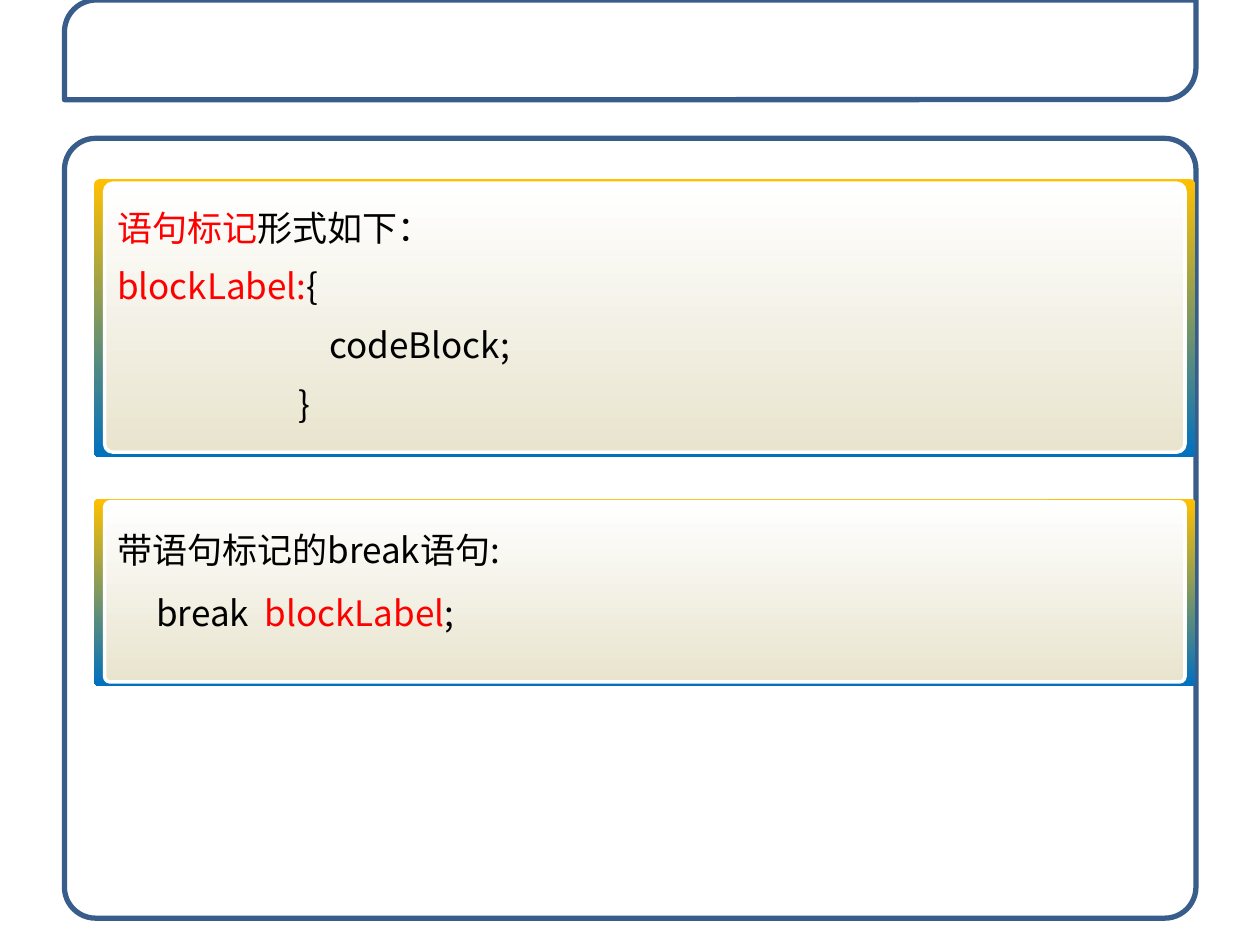
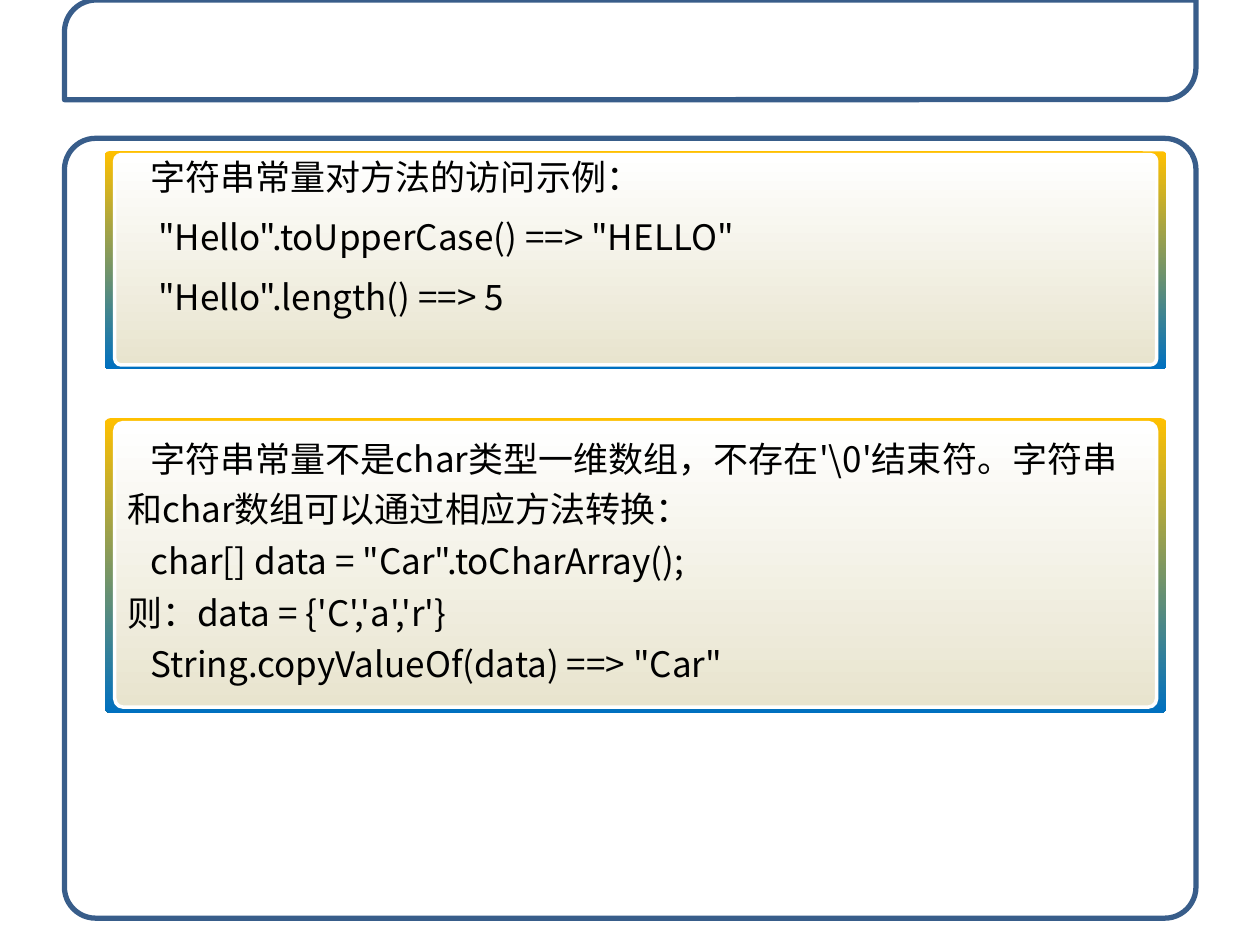
"""Builds two slides on labelled break statements and string constants."""
from lxml import etree
from pptx import Presentation
from pptx.dml.color import RGBColor
from pptx.enum.shapes import MSO_SHAPE
from pptx.enum.text import MSO_ANCHOR, MSO_AUTO_SIZE
from pptx.oxml.ns import qn
from pptx.util import Cm, Pt

ROUNDED = MSO_SHAPE.ROUNDED_RECTANGLE
DIAGONAL = MSO_SHAPE.ROUND_2_DIAG_RECTANGLE
TOP = MSO_ANCHOR.TOP
GROW = MSO_AUTO_SIZE.SHAPE_TO_FIT_TEXT

FONT = "Noto Sans CJK SC"
BLACK, RED, WHITE, BLUE = "000000", "FF0000", "FFFFFF", "385D8A"
RIM = ("FFC000", "0070C0")
FACE = ("FFFFFF", "E8E4CE")

FRAMES = [
    (ROUNDED, 2.79, 15.72, [0.04]),
    (DIAGONAL, 0, 2.01, [0.32, 0]),
]

# Each card: top, height, text height, paragraphs.
# Each paragraph: first-line indent, line spacing, space before, runs.
SLIDES = [
    (1.9, 22.2, [
        (10.06, 3.76, 2.79, [
            (0, 1.5, 0, [("带语句标记的break语句:", BLACK)]),
            (0.79, 1.5, 0, [("break  ", BLACK), ("blockLabel", RED), (";", BLACK)]),
        ]),
        (3.61, 5.61, 5, [
            (0, 1.4, 0, [("语句标记", RED), ("形式如下：", BLACK)]),
            (0, 1.4, 0, [("blockLabel:", RED), ("{", BLACK)]),
            (4.28, 1.4, 0, [("codeBlock;", BLACK)]),
            (3.65, 1.4, 0, [("}", BLACK)]),
        ]),
    ]),
    (2.11, 21.41, [
        (3.05, 4.39, 3.43, [
            (0.47, 0.9, 12.5, [("字符串常量对方法的访问示例：", BLACK)]),
            (0.63, 0.9, 12.5, [('"Hello".toUpperCase() ==> "HELLO"', BLACK)]),
            (0.63, 0.9, 12.5, [('"Hello".length() ==> 5', BLACK)]),
        ]),
        (8.43, 5.94, 5.38, [
            (0.47, 1.2, 12.5, [(r"字符串常量不是char类型一维数组，不存在'\0'结束符。"
                                "字符串和char数组可以通过相应方法转换：", BLACK)]),
            (0.47, 0.7, 12.5, [('char[] data = "Car".toCharArray();', BLACK)]),
            (0, 0.7, 12.5, [("则：data = {'C','a','r'}", BLACK)]),
            (0.47, 0.7, 12.5, [('String.copyValueOf(data) ==> "Car"', BLACK)]),
        ]),
    ]),
]


def paint(color, value):
    """Set a colour from a hex string."""
    color.rgb = RGBColor.from_string(value)


def add_panel(shapes, kind, place, corners, fills, line=None, width=0):
    """Add a shape with a plain or top-to-bottom gradient fill."""
    panel = shapes.add_shape(kind, *[Cm(length) for length in place])
    panel.shadow.inherit = False
    for index, corner in enumerate(corners):
        panel.adjustments[index] = corner
    if len(fills) == 1:
        panel.fill.solid()
        paint(panel.fill.fore_color, fills[0])
    else:
        panel.fill.gradient()
        panel.fill.gradient_angle = 270
        for stop, value, position in zip(panel.fill.gradient_stops, fills, (0, 1)):
            paint(stop.color, value)
            stop.position = position
    if line:
        paint(panel.line.color, line)
        panel.line.width = Pt(width)
    else:
        panel.line.fill.background()
    return panel


deck = Presentation()
deck.slide_width, deck.slide_height = Cm(25.4), Cm(19.05)

for left, width, cards in SLIDES:
    page = deck.slides.add_slide(deck.slide_layouts[6])

    for kind, top, height, corners in FRAMES:
        frame = add_panel(page.shapes, kind, (1.3, top, 22.81, height), corners, [WHITE], BLUE, 3)
        white = frame.fill._xPr.find(qn("a:solidFill"))[0]
        etree.SubElement(white, qn("a:alpha"), val="85000")

    for top, height, text_height, paragraphs in cards:
        card = page.shapes.add_group_shape().shapes
        face_left, face_top = left + 0.0095 * width, top + 0.015 * height
        face_width = 0.981 * width
        add_panel(card, ROUNDED, (left, top, width, height), [0.02], RIM)
        add_panel(card, ROUNDED, (face_left, face_top, face_width, 0.966 * height),
                  [0.03], FACE, WHITE, 2)

        box = card.add_textbox(Cm(face_left), Cm(face_top), Cm(face_width), Cm(text_height))
        frame = box.text_frame
        frame.word_wrap = True
        frame.auto_size = GROW
        frame.vertical_anchor = TOP
        for index, (indent, spacing, before, spans) in enumerate(paragraphs):
            para = frame.add_paragraph() if index else frame.paragraphs[0]
            para.line_spacing = spacing
            para.space_before = Pt(before)
            properties = para._p.get_or_add_pPr()
            properties.set("marL", "0")
            properties.set("indent", str(Cm(indent)))
            for words, value in spans:
                span = para.add_run()
                span.text = words
                span.font.size = Pt(20)
                span.font.name = FONT
                paint(span.font.color, value)
                etree.SubElement(span._r.get_or_add_rPr(), qn("a:ea"), typeface=FONT)

deck.save("out.pptx")
